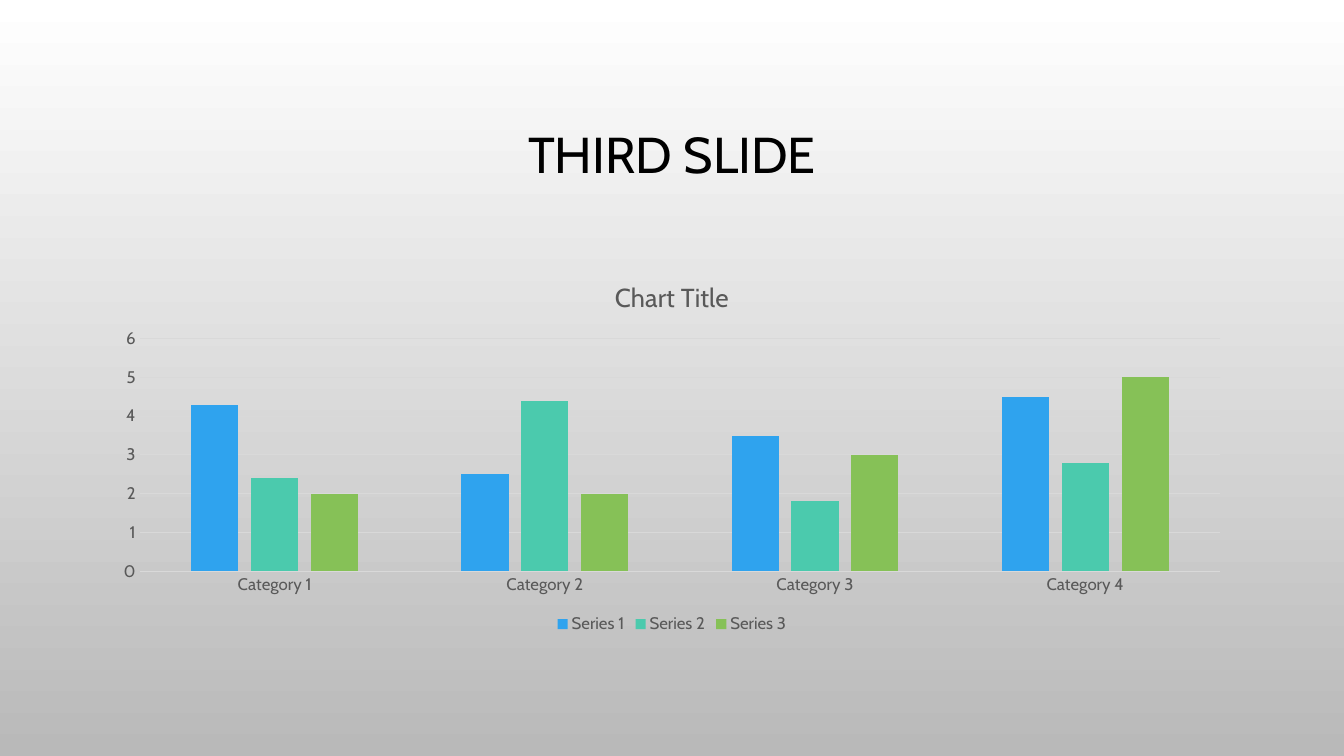
from pptx import Presentation
from pptx import util as u
from pptx.chart import data
from pptx.dml.color import RGBColor
from pptx.enum import chart as ch
from pptx.enum import text

WHITE = RGBColor(0xFF, 0xFF, 0xFF)
SILVER = RGBColor(0xB9, 0xB9, 0xB9)
BLACK = RGBColor(0x00, 0x00, 0x00)
GREY = RGBColor(0x59, 0x59, 0x59)
RULE = RGBColor(0xD9, 0xD9, 0xD9)
BLUE = RGBColor(0x2F, 0xA3, 0xEE)
TEAL = RGBColor(0x4B, 0xCA, 0xAD)
GREEN = RGBColor(0x86, 0xC1, 0x57)

CATEGORIES = ["Category 1", "Category 2", "Category 3", "Category 4"]
SERIES = [
    ("Series 1", (4.3, 2.5, 3.5, 4.5), BLUE),
    ("Series 2", (2.4, 4.4, 1.8, 2.8), TEAL),
    ("Series 3", (2, 2, 3, 5), GREEN),
]


def apply(target, values):
    """Set each attribute of target from a dict of format values."""
    for name, value in values.items():
        setattr(target, name, value)


class Deck:
    """Hold the style and the current slide on a grid of 40 columns and 75 rows."""

    font = "Cabin"
    columns, rows = 40, 75

    def __init__(self, width, height):
        """Start a presentation of the given size in inches."""
        self.prs = Presentation()
        apply(self.prs, {"slide_width": u.Inches(width), "slide_height": u.Inches(height)})
        self.slide = None

    def box(self, col, row, cols, rows):
        """Turn grid columns and rows into left, top, width and height."""
        dx = self.prs.slide_width / self.columns
        dy = self.prs.slide_height / self.rows
        return int(col * dx), int(row * dy), int(cols * dx), int(rows * dy)

    def style(self, font, size, color):
        """Give a font the deck's typeface with a size and a colour."""
        apply(font, {"name": self.font, "size": u.Pt(size), "bold": False})
        font.color.rgb = color

    def rule(self, line):
        """Draw a line as a thin pale rule."""
        line.width = u.Pt(0.75)
        line.color.rgb = RULE

    def add_slide(self, top, bottom):
        """Add a title-only slide with a vertical gradient."""
        self.slide = self.prs.slides.add_slide(self.prs.slide_layouts[5])
        fill = self.slide.background.fill
        fill.gradient()
        fill.gradient_angle = 270
        for stop, color in zip(fill.gradient_stops, (top, bottom)):
            stop.color.rgb = color

    def title(self, words, *cells):
        """Place and format the title."""
        sp = self.slide.shapes.title
        apply(sp, dict(zip(("left", "top", "width", "height"), self.box(*cells))))
        tf = sp.text_frame
        apply(tf, {"vertical_anchor": text.MSO_ANCHOR.MIDDLE,
                   "auto_size": text.MSO_AUTO_SIZE.NONE, "word_wrap": True})
        p = tf.paragraphs[0]
        apply(p, {"alignment": text.PP_ALIGN.CENTER, "line_spacing": 0.9})
        r = p.add_run()
        r.text = words
        self.style(r.font, 36, BLACK)

    def column_chart(self, heading, categories, series, *cells):
        """Add a clustered column chart with a heading and a legend below."""
        values = data.CategoryChartData()
        values.categories = categories
        for name, numbers, _ in series:
            values.add_series(name, numbers)
        chart = self.slide.shapes.add_chart(
            ch.XL_CHART_TYPE.COLUMN_CLUSTERED, *self.box(*cells), values).chart
        self.style(chart.font, 10, BLACK)
        apply(chart, {"has_title": True, "has_legend": True})
        chart.chart_title.include_in_layout = False
        p = chart.chart_title.text_frame.paragraphs[0]
        r = p.add_run()
        r.text = heading
        self.style(r.font, 18.6, GREY)
        apply(chart.legend, {"position": ch.XL_LEGEND_POSITION.BOTTOM,
                             "include_in_layout": False})
        self.style(chart.legend.font, 12, GREY)
        plot = chart.plots[0]
        apply(plot, {"gap_width": 219, "overlap": -27, "vary_by_categories": False})
        for bar, (_, _, color) in zip(plot.series, series):
            bar.format.fill.solid()
            bar.format.fill.fore_color.rgb = color
        for axis in (chart.category_axis, chart.value_axis):
            apply(axis, {"major_tick_mark": ch.XL_TICK_MARK.NONE,
                         "minor_tick_mark": ch.XL_TICK_MARK.NONE})
            self.style(axis.tick_labels.font, 12, GREY)
        self.rule(chart.category_axis.format.line)
        axis = chart.value_axis
        apply(axis, {"minimum_scale": 0, "maximum_scale": 6, "major_unit": 1,
                     "has_major_gridlines": True})
        axis.format.line.fill.background()
        self.rule(axis.major_gridlines.format.line)


def main():
    """Build the slide and save it."""
    deck = Deck(13.33, 7.5)
    deck.add_slide(WHITE, SILVER)
    deck.title("THIRD SLIDE", 3, 6.8, 34, 17.5)
    deck.column_chart("Chart Title", CATEGORIES, SERIES, 3, 25.9, 34, 37.4)
    deck.prs.save("out.pptx")


if __name__ == "__main__":
    main()
